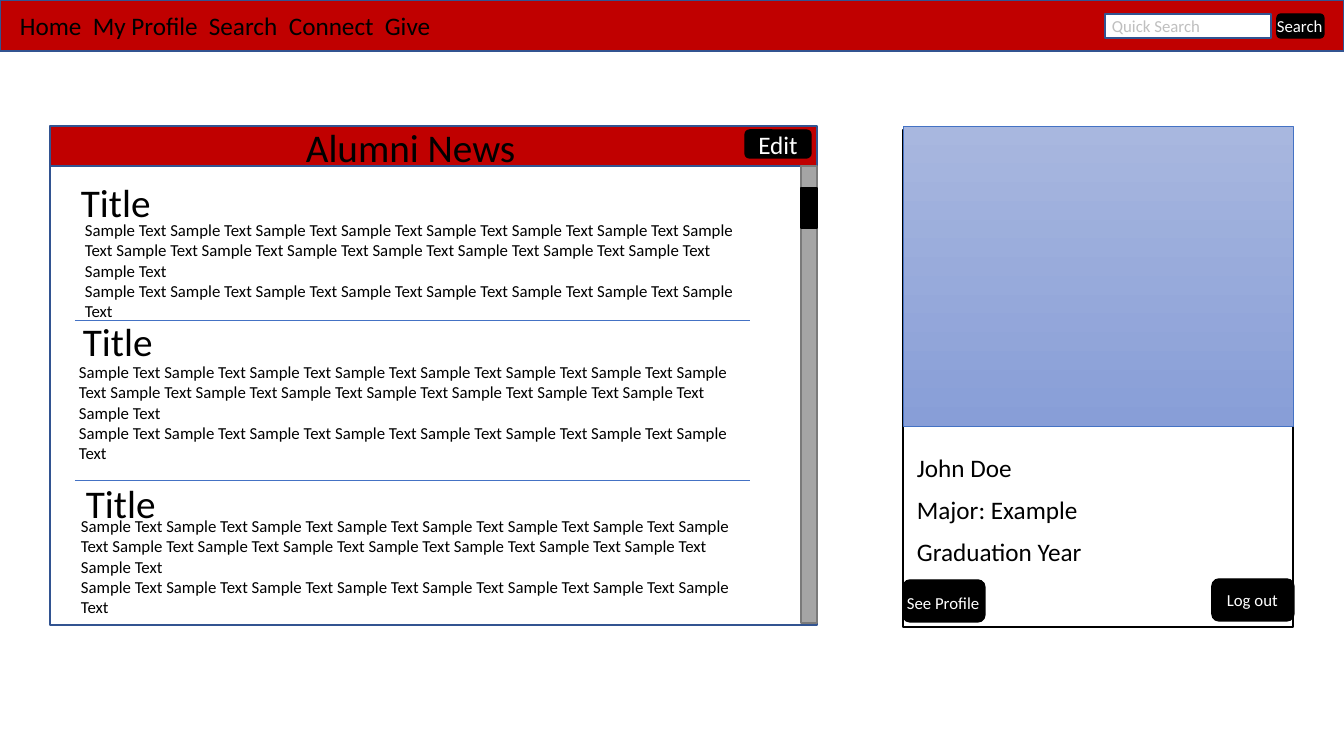
"""Build the alumni portal home page wireframe slide."""
from lxml import etree
from pptx import Presentation
from pptx.dml.color import RGBColor
from pptx.enum.shapes import MSO_CONNECTOR, MSO_SHAPE
from pptx.enum.text import MSO_ANCHOR, MSO_AUTO_SIZE, PP_ALIGN
from pptx.oxml.ns import qn
from pptx.util import Emu, Pt

SCALE = 914400 / 100.8
COLORS = {
    "red": "C00000", "black": "000000", "white": "FFFFFF", "navy": "325491",
    "blue": "4472C4", "gray": "A5A5A5", "dark_gray": "7A7A7A", "hint": "BFBFBF",
    "photo_top": "A8B7DF", "photo_bottom": "889ED7",
}
RECT, ROUND = MSO_SHAPE.RECTANGLE, MSO_SHAPE.ROUNDED_RECTANGLE

MENU = ["Home", "My Profile", "Search", "Connect", "Give"]
MENU_STOPS = [73, 189, 269, 365]
PROFILE = ["John Doe", "Major: Example", "Graduation Year"]
PROFILE_WIDTHS = [117, 182, 187]
SAMPLE = "Sample Text"
STORY = "\n".join(" ".join([SAMPLE] * count) for count in (16, 8))

NAVIGATION_BAR = (RECT, 0, 0, 1344, 51, "red", "navy")
SEARCH_FIELD = (RECT, 1105, 14, 166, 24, "white", "navy")
SEARCH_BUTTON = (ROUND, 1277, 14, 47, 24, "black", "black")
NEWS_PANEL = (RECT, 50, 128, 767, 497, "white", "navy")
NEWS_HEADER = (RECT, 50, 126, 767, 40, "red", "navy")
SCROLL_TRACK = (RECT, 801, 166, 16, 457, "gray", "dark_gray")
SCROLL_THUMB = (RECT, 801, 188, 16, 40, "black", "black")
PROFILE_CARD = (RECT, 903, 130, 390, 497, "white", "black")
PHOTO = (RECT, 903, 126, 390, 300, "photo_top", "blue", 0.5)
PROFILE_BUTTON = (ROUND, 903, 580, 82, 42, "black", "black")
LOGOUT_BUTTON = (ROUND, 1212, 579, 82, 42, "black", "black")
EDIT_BUTTON = (ROUND, 745, 130, 66, 28, "black", "black")

DIVIDERS = [320, 480]
STORIES = [((71, 173), (75, 215)), ((73, 312), (69, 357)), ((76, 474), (71, 511))]
LABELS = [
    ("Search", 1267, 11, 67, 30, 12, "white"),
    ("See Profile", 897, 588, 94, 30, 12, "white"),
    ("Log out", 1217, 585, 72, 30, 12, "white"),
    ("Quick Search", 1102, 11, 110, 30, 12, "hint"),
    ("Alumni News", 296, 118, 232, 57, 28, "black"),
]


def px(*values):
    return [Emu(round(value * SCALE)) for value in values]


def rgb(name):
    return RGBColor.from_string(COLORS[name])


def write(text_frame, text, size, color):
    text_frame.text = text
    for paragraph in text_frame.paragraphs:
        for run in paragraph.runs:
            run.font.name = "Calibri"
            run.font.size = Pt(size)
            run.font.color.rgb = rgb(color)


def add_box(kind, left, top, width, height, fill, line, weight=1):
    shape = slide.shapes.add_shape(kind, *px(left, top, width, height))
    shape.shadow.inherit = False
    shape.fill.solid()
    shape.fill.fore_color.rgb = rgb(fill)
    shape.line.color.rgb = rgb(line)
    shape.line.width = Pt(weight)
    return shape


def add_label(text, left, top, width, height, size, color="black", wrap=False):
    label = slide.shapes.add_textbox(*px(left, top, width, height))
    write(label.text_frame, text, size, color)
    label.text_frame.word_wrap = wrap
    label.text_frame.auto_size = MSO_AUTO_SIZE.SHAPE_TO_FIT_TEXT
    return label


def add_divider(top):
    line = slide.shapes.add_connector(MSO_CONNECTOR.STRAIGHT, *px(75, top, 750, top))
    line.line.color.rgb = rgb("blue")
    line.line.width = Pt(0.5)
    etree.SubElement(line._element.spPr, qn("a:effectLst"))


presentation = Presentation()
presentation.slide_width, presentation.slide_height = px(1344, 756)
slide = presentation.slides.add_slide(presentation.slide_layouts[6])

for box in (NAVIGATION_BAR, SEARCH_FIELD, SEARCH_BUTTON, NEWS_PANEL, NEWS_HEADER):
    add_box(*box)
for top in DIVIDERS:
    add_divider(top)
for box in (SCROLL_TRACK, SCROLL_THUMB, PROFILE_CARD):
    add_box(*box)

photo = add_box(*PHOTO)
photo.fill.gradient()
photo.fill.gradient_angle = 270
for stop, color in zip(photo.fill.gradient_stops, ("photo_top", "photo_bottom")):
    stop.color.rgb = rgb(color)

for box in (PROFILE_BUTTON, LOGOUT_BUTTON):
    add_box(*box)

menu = add_label("\t".join(MENU), 10, 5, 446, 40, 18, wrap=True)
properties = menu.text_frame.paragraphs[0]._p.get_or_add_pPr()
tab_list = etree.SubElement(properties, qn("a:tabLst"))
for position in px(*MENU_STOPS):
    etree.SubElement(tab_list, qn("a:tab"), pos=str(int(position)), algn="l")

for row, (text, width) in enumerate(zip(PROFILE, PROFILE_WIDTHS)):
    add_label(text, 907, 447 + 42 * row, width, 40, 18)
for label in LABELS:
    add_label(*label)
for title_corner, story_corner in STORIES:
    add_label(STORY, *story_corner, 674, 132, 12, wrap=True)
    add_label("Title", *title_corner, 91, 57, 28)

edit = add_box(*EDIT_BUTTON)
write(edit.text_frame, "Edit", 18, "white")
edit.text_frame.vertical_anchor = MSO_ANCHOR.MIDDLE
edit.text_frame.paragraphs[0].alignment = PP_ALIGN.CENTER

presentation.save("out.pptx")
